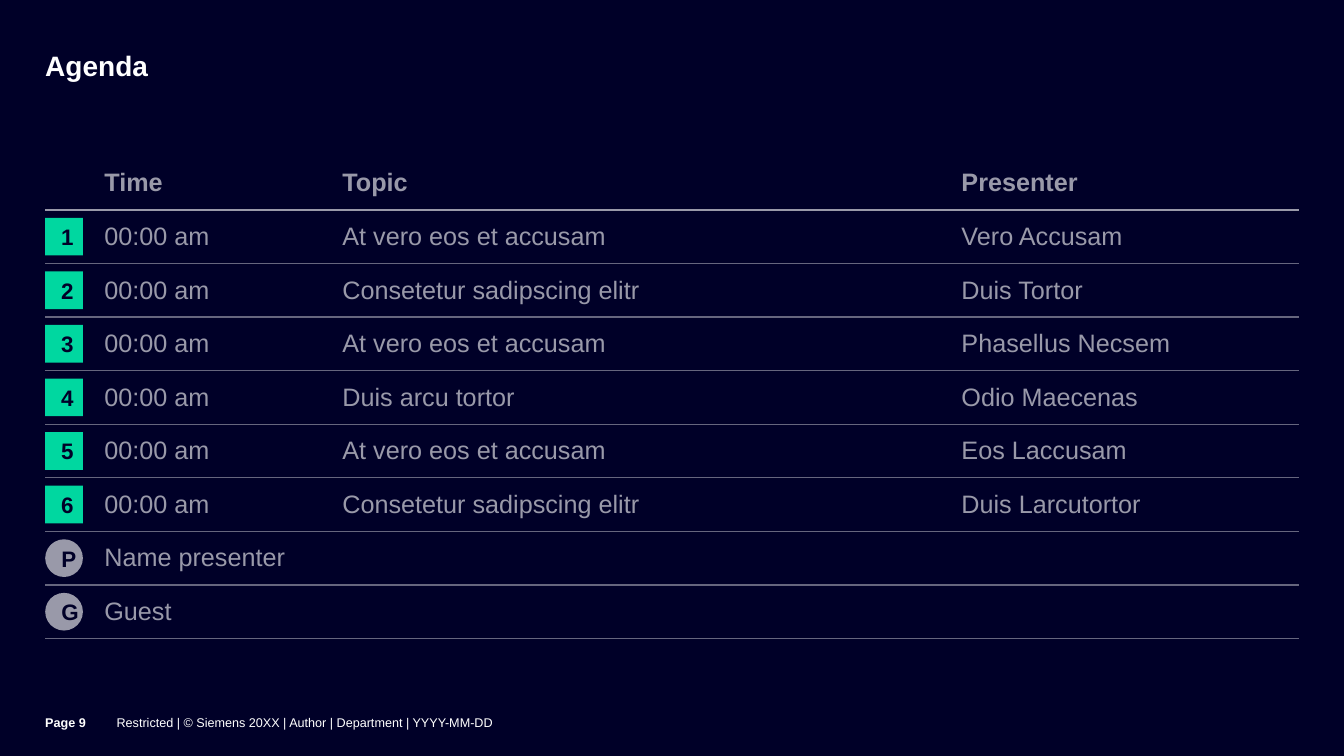
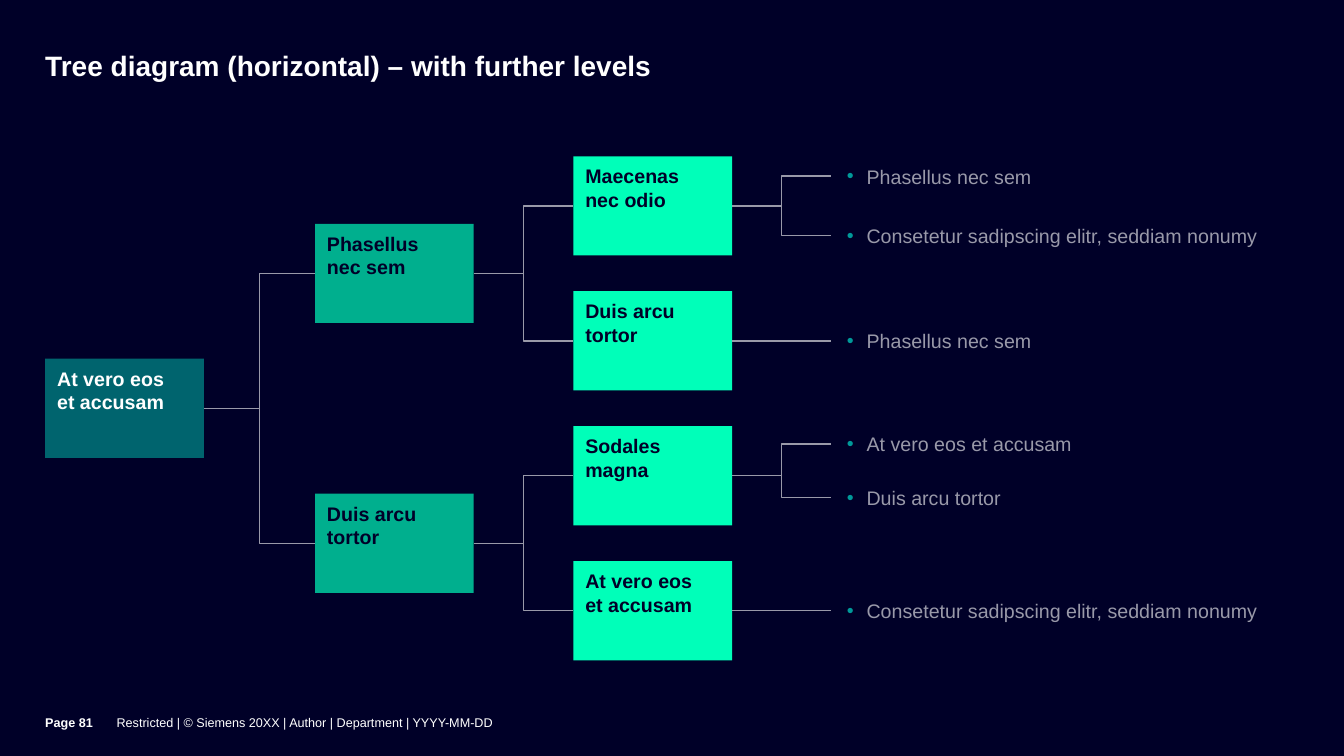
from lxml.etree import SubElement
from pptx import Presentation
from pptx.dml.color import RGBColor
from pptx.enum.shapes import MSO_CONNECTOR, MSO_SHAPE
from pptx.enum.text import MSO_ANCHOR, MSO_AUTO_SIZE, PP_ALIGN
from pptx.oxml.ns import qn
from pptx.util import Cm, Pt

HUES = {
    "night": "000028", "white": "FFFFFF", "grey": "9999A9", "rule": "66667E",
    "green": "00D7A0", "deep": "00646E", "mid": "00AF8E", "light": "00FFB9",
    "dot": "009999",
}
FONT = "Arial"
LEFT = 1.14
TOP = 3.94
NO_GRID = "{2D5ABB26-0587-4C30-8999-92F81FD0307C}"


def hue(name):
    return RGBColor.from_string(HUES[name])


def write(frame, text, size=14, color="grey", bold=False, align=PP_ALIGN.LEFT,
          anchor=MSO_ANCHOR.TOP, pad=(0, 0, 0, 0), lead=None, bullet=False):
    frame.word_wrap = True
    frame.auto_size = MSO_AUTO_SIZE.NONE
    frame.vertical_anchor = anchor
    (frame.margin_left, frame.margin_top,
     frame.margin_right, frame.margin_bottom) = [Cm(gap) for gap in pad]
    para = frame.paragraphs[0]
    para.alignment = align
    if lead:
        para.line_spacing = lead
    if bullet:
        props = para._p.get_or_add_pPr()
        props.set("marL", str(Cm(0.5)))
        props.set("indent", str(-Cm(0.5)))
        tint = SubElement(props, qn("a:buClr"))
        SubElement(tint, qn("a:srgbClr"), val=HUES["dot"])
        SubElement(props, qn("a:buFont"), typeface=FONT)
        SubElement(props, qn("a:buChar"), char="•")
    run = para.add_run()
    run.text = text
    run.font.name = FONT
    run.font.size = Pt(size)
    run.font.bold = bold
    run.font.color.rgb = hue(color)


deck = Presentation()
deck.slide_width, deck.slide_height = Cm(33.87), Cm(19.05)

# Shared background and title place
back = deck.slide_master.background.fill
back.solid()
back.fore_color.rgb = hue("night")
layout = deck.slide_layouts.get_by_name("Title Only")
head = layout.placeholders[0]
head.left, head.top, head.width, head.height = Cm(LEFT), Cm(1.32), Cm(27.4), Cm(1.6)

# Titles and footers
slides = []
for title, page in [("Agenda", "Page 9"),
                    ("Tree diagram (horizontal) – with further levels", "Page 81")]:
    slide = deck.slides.add_slide(layout)
    write(slide.shapes.title.text_frame, title, size=20, color="white", bold=True,
          pad=(0, 0, 0.9, 0.05), lead=0.9)
    notice = "Restricted | © Siemens 20XX | Author | Department | YYYY-MM-DD"
    for x, width, text, bold in [(2.94, 25.6, notice, False), (LEFT, 1.8, page, True)]:
        foot = slide.shapes.add_textbox(Cm(x), Cm(17.53), Cm(width), Cm(1.52))
        write(foot.text_frame, text, size=9, color="white", bold=bold,
              anchor=MSO_ANCHOR.MIDDLE, pad=(0, 0, 0, 0.18))
    slides.append(slide)
agenda, tree = slides

# Agenda table
ROW = 1.35
widths = [1.19, 6, 15.6, 8.8]
rows = [
    ("", "Time", "Topic", "Presenter"),
    ("1", "00:00 am", "At vero eos et accusam", "Vero Accusam"),
    ("2", "00:00 am", "Consetetur sadipscing elitr", "Duis Tortor"),
    ("3", "00:00 am", "At vero eos et accusam", "Phasellus Necsem"),
    ("4", "00:00 am", "Duis arcu tortor", "Odio Maecenas"),
    ("5", "00:00 am", "At vero eos et accusam", "Eos Laccusam"),
    ("6", "00:00 am", "Consetetur sadipscing elitr", "Duis Larcutortor"),
    ("P", "Name presenter"),
    ("G", "Guest"),
]
grid = agenda.shapes.add_table(len(rows), len(widths), Cm(LEFT), Cm(TOP),
                               Cm(sum(widths)), Cm(ROW * len(rows)))
grid.element.find(".//" + qn("a:tableStyleId")).text = NO_GRID
table = grid.table
table.first_row = table.horz_banding = False
for col, width in zip(table.columns, widths):
    col.width = Cm(width)

for r, row in enumerate(rows):
    table.rows[r].height = Cm(ROW)
    if len(row) == 2:
        table.cell(r, 1).merge(table.cell(r, 3))
    for c in range(len(widths)):
        cell = table.cell(r, c)
        cell.margin_left = cell.margin_right = Cm(0.3)
        cell.margin_top = cell.margin_bottom = Cm(0.2)
        if 0 < c < len(row):
            write(cell.text_frame, row[c], size=18, bold=r == 0)
        cell.vertical_anchor = MSO_ANCHOR.MIDDLE
        # Rules above and below; none above the header
        props = cell._tc.get_or_add_tcPr()
        for side, edge in [("a:lnT", r), ("a:lnB", r + 1)]:
            if edge:
                thick, tone = (2.25, "grey") if edge == 1 else (1, "rule")
                line = SubElement(props, qn(side), w=str(Pt(thick)))
                fill = SubElement(line, qn("a:solidFill"))
                SubElement(fill, qn("a:srgbClr"), val=HUES[tone])
        cell.fill.background()

# Agenda badges
for r, row in enumerate(rows):
    if row[0]:
        digit = row[0].isdigit()
        badge = agenda.shapes.add_shape(
            MSO_SHAPE.RECTANGLE if digit else MSO_SHAPE.OVAL,
            Cm(LEFT), Cm(TOP + r * ROW + 0.2), Cm(0.95), Cm(0.95))
        badge.shadow.inherit = False
        badge.fill.solid()
        badge.fill.fore_color.rgb = hue("green" if digit else "grey")
        badge.line.fill.background()
        write(badge.text_frame, row[0], size=16, color="night", bold=True,
              align=PP_ALIGN.CENTER, anchor=MSO_ANCHOR.MIDDLE,
              pad=(0.4, 0.2, 0.4, 0.2))

# Tree boxes: each parent sits midway between its two children
WIDE, HIGH, STEP = 4, 2.5, 3.4
levels = [
    (LEFT, "deep", "white", ["At vero eos et accusam"]),
    (7.94, "mid", "night", ["Phasellus nec sem", "Duis arcu tortor"]),
    (14.45, "light", "night", ["Maecenas nec odio", "Duis arcu tortor",
                               "Sodales magna", "At vero eos et accusam"]),
]
links = []
above = []
for x, tone, ink, names in levels:
    boxes = []
    for i, name in enumerate(names):
        y = TOP + STEP * ((i + 0.5) * 4 / len(names) - 0.5)
        box = tree.shapes.add_shape(MSO_SHAPE.RECTANGLE, Cm(x), Cm(y), Cm(WIDE), Cm(HIGH))
        box.shadow.inherit = False
        box.fill.solid()
        box.fill.fore_color.rgb = hue(tone)
        box.line.fill.background()
        write(box.text_frame, name, color=ink, bold=True, pad=(0.3, 0.2, 0.6, 0.2))
        if above:
            links.append((above[i // 2], box, MSO_CONNECTOR.ELBOW))
        boxes.append(box)
    above = boxes

# Tree leaves: parent, shift from its centre, text
leaves = [
    (0, -0.75, "Phasellus nec sem"),
    (0, 0.75, "Consetetur sadipscing elitr, seddiam nonumy"),
    (1, 0, "Phasellus nec sem"),
    (2, -0.8, "At vero eos et accusam"),
    (2, 0.55, "Duis arcu tortor"),
    (3, 0, "Consetetur sadipscing elitr, seddiam nonumy"),
]
for i, shift, text in leaves:
    y = TOP + i * STEP + HIGH / 2 + shift - 0.5
    leaf = tree.shapes.add_textbox(Cm(20.94), Cm(y), Cm(11.8), Cm(1))
    write(leaf.text_frame, text, anchor=MSO_ANCHOR.MIDDLE, pad=(0.4, 0, 0, 0), bullet=True)
    kind = MSO_CONNECTOR.ELBOW if shift else MSO_CONNECTOR.STRAIGHT
    links.append((above[i], leaf, kind))

# Tree links: right side to left side
for start, end, kind in links:
    link = tree.shapes.add_connector(kind, 0, 0, 0, 0)
    link.begin_x, link.begin_y = start.left + start.width, start.top + start.height // 2
    link.end_x, link.end_y = end.left, end.top + end.height // 2
    link.begin_connect(start, 3)
    link.end_connect(end, 1)
    link.line.color.rgb = hue("grey")
    link.line.width = Pt(1)
    SubElement(link.element.spPr, qn("a:effectLst"))

deck.save("out.pptx")
